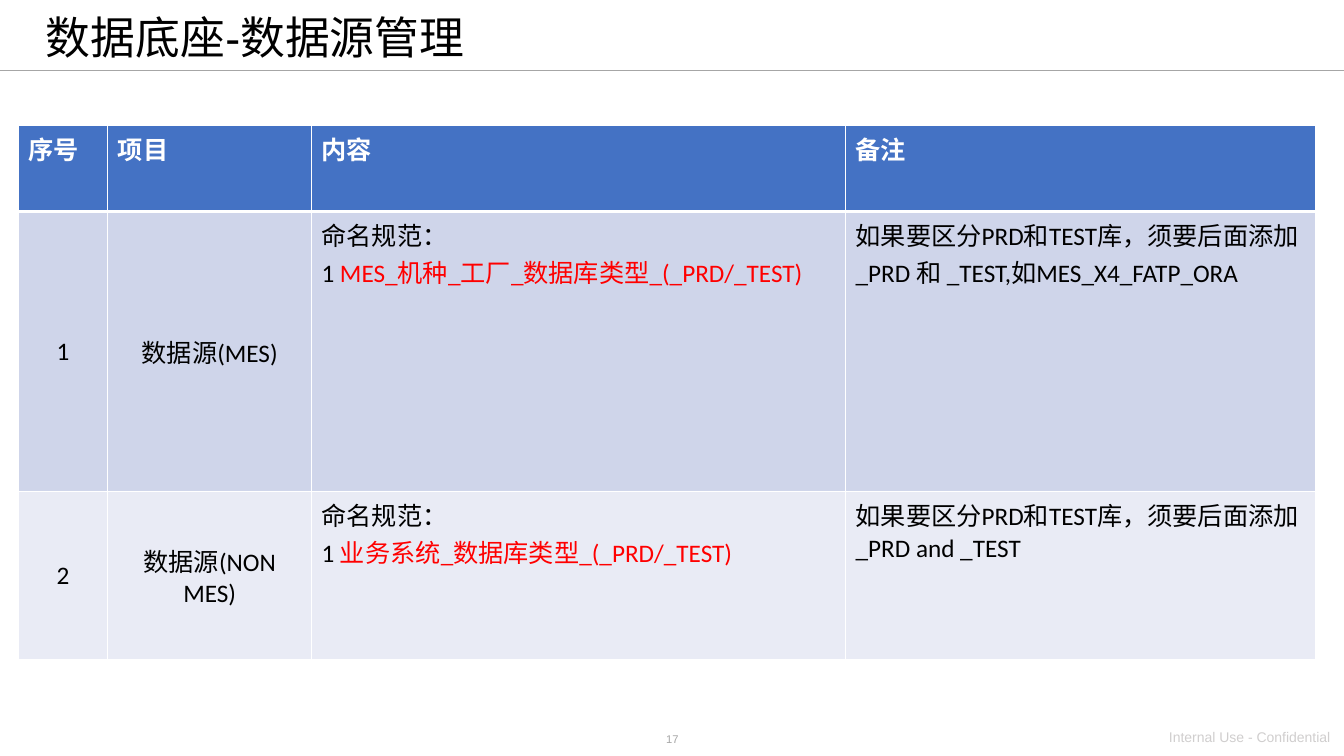
from dataclasses import dataclass

from lxml.etree import SubElement
from pptx import Presentation
from pptx.dml.color import RGBColor
from pptx.enum.shapes import MSO_CONNECTOR as Link
from pptx.enum.text import MSO_ANCHOR as Anchor, PP_ALIGN as Align
from pptx.oxml.ns import qn
from pptx.util import Cm, Pt

WHITE, BLACK, RED, GRAY = "FFFFFF", "000000", "FF0000", "A6A6A6"


@dataclass
class Label:
    text: str
    box: tuple[float, float, float, float]
    size: int
    hue: str
    align: Align = Align.LEFT
    anchor: Anchor = Anchor.TOP
    spacing: float = 1.0


@dataclass
class Row:
    height: float
    fill: str
    cells: list[str]  # "|" starts the red part of a paragraph
    head: bool = False


LABELS = [
    Label("17", (14.71, 18.34, 4.47, 0.61), 8, GRAY, Align.CENTER),
    Label("Internal Use - Confidential", (29.21, 18.24, 4.67, 0.69), 10, "D0CECE"),
    Label("数据底座-数据源管理", (0.91, 0.15, 26.75, 1.73), 32, BLACK,
          anchor=Anchor.MIDDLE, spacing=0.9),
]
WIDTHS = [2.26, 5.13, 13.46, 11.84]
ROWS = [
    Row(2.18, "4472C4", ["序号", "项目", "内容", "备注"], head=True),
    Row(7.06, "CFD5EA", [
        "1", "数据源(MES)",
        "命名规范：\n1 |MES_机种_工厂_数据库类型_(_PRD/_TEST)",
        "如果要区分PRD和TEST库，须要后面添加_PRD 和 _TEST,如MES_X4_FATP_ORA"]),
    Row(4.22, "E9EBF5", [
        "2", "数据源(NON MES)",
        "命名规范：\n1 |业务系统_数据库类型_(_PRD/_TEST)",
        "如果要区分PRD和TEST库，须要后面添加_PRD and _TEST"]),
]


def color(code: str) -> RGBColor:
    return RGBColor.from_string(code)


def style(run, face: str, size: int, hue: str, bold: bool = False) -> None:
    run.font.name = face
    run.font.size = Pt(size)
    run.font.bold = bold
    run.font.color.rgb = color(hue)


def add_rule(slide, top: float, width: float) -> None:
    rule = slide.shapes.add_connector(Link.STRAIGHT, 0, Cm(top), Cm(width), Cm(top))
    rule.line.color.rgb = color(GRAY)
    rule.line.width = Pt(1)
    SubElement(rule._element.spPr, qn("a:effectLst"))


def add_label(slide, label: Label) -> None:
    frame = slide.shapes.add_textbox(*map(Cm, label.box)).text_frame
    frame.word_wrap = True
    frame.vertical_anchor = label.anchor
    frame.text = label.text
    para = frame.paragraphs[0]
    para.alignment = label.align
    para.line_spacing = label.spacing
    style(para.runs[0], "Arial", label.size, label.hue)


def add_edges(cell, top: int, bottom: int) -> None:
    props = cell._tc.get_or_add_tcPr()
    for side, width in (("L", 1), ("R", 1), ("T", top), ("B", bottom)):
        edge = SubElement(props, qn(f"a:ln{side}"), w=str(Pt(width)))
        fill = SubElement(edge, qn("a:solidFill"))
        SubElement(fill, qn("a:srgbClr"), val=WHITE)


def fill_cell(cell, row: Row, text: str, middle: bool) -> None:
    cell.fill.solid()
    cell.fill.fore_color.rgb = color(row.fill)
    cell.vertical_anchor = Anchor.MIDDLE if middle else Anchor.TOP
    lines = text.split("\n")
    frame = cell.text_frame
    frame.text = "\n".join(line.split("|")[0] for line in lines)
    for para, line in zip(frame.paragraphs, lines):
        para.alignment = Align.CENTER if middle else Align.LEFT
        style(para.runs[0], "Calibri", 18, WHITE if row.head else BLACK, row.head)
        for part in line.split("|")[1:]:
            run = para.add_run()
            run.text = part
            style(run, "Calibri", 18, RED)


def add_grid(slide) -> None:
    high = sum(row.height for row in ROWS)
    grid = slide.shapes.add_table(len(ROWS), len(WIDTHS), Cm(0.46), Cm(3.15),
                                  Cm(sum(WIDTHS)), Cm(high)).table
    for col, width in zip(grid.columns, WIDTHS):
        col.width = Cm(width)
    for i, row in enumerate(ROWS):
        grid.rows[i].height = Cm(row.height)
        for j, text in enumerate(row.cells):
            cell = grid.cell(i, j)
            add_edges(cell, top=3 if i == 1 else 1, bottom=3 if row.head else 1)
            fill_cell(cell, row, text, middle=j < 2 and not row.head)


def main() -> None:
    deck = Presentation()
    deck.slide_width, deck.slide_height = Cm(33.87), Cm(19.05)
    slide = deck.slides.add_slide(deck.slide_layouts[6])
    # Title, rule and footer
    add_rule(slide, 1.78, 33.87)
    for label in LABELS:
        add_label(slide, label)
    # Naming rules table
    add_grid(slide)
    deck.save("out.pptx")


if __name__ == "__main__":
    main()
